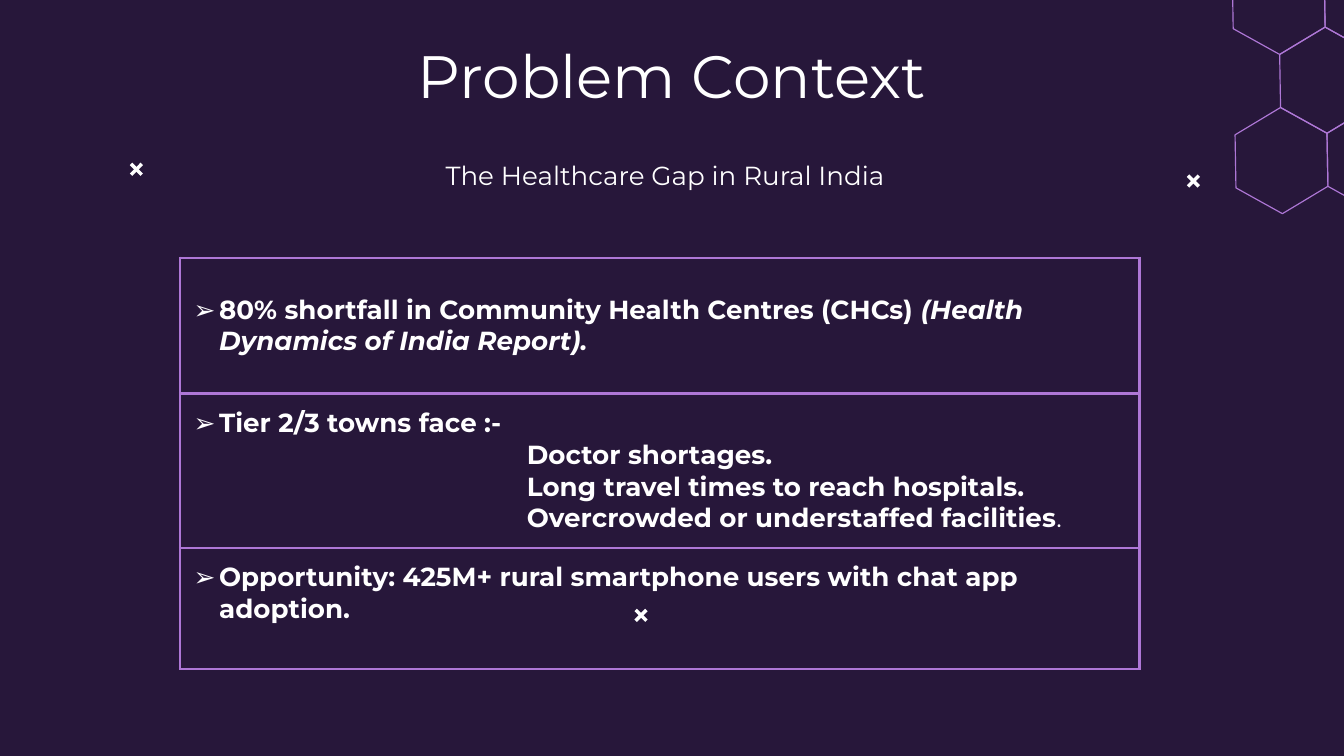
import math

from lxml import etree
from pptx import Presentation
from pptx import util as u
from pptx.dml.color import RGBColor
from pptx.enum import shapes, text
from pptx.oxml import ns

THEME = {
    "background": RGBColor.from_string("27173A"),
    "text": RGBColor.from_string("FFFFFF"),
    "accent": RGBColor.from_string("AE77D6"),
    "font": "Montserrat",
    "title": 32,
    "body": 14,
    "border": 1.5,
    "hexagon": 0.61,
    "cross": 1.84,
}
WIDTH = u.Inches(10)
HEIGHT = WIDTH * 9 // 16

HEADINGS = [
    ("Problem Context", "title", (7.88, 3.4, 84.25, 11.2)),
    ("The Healthcare Gap in Rural India", "body", (21.2, 19.3, 56.6, 5.3)),
]
TABLE_BOX = (13.4, 34.1, 71.4, 54.4)
ROWS = [
    (17.95, text.MSO_ANCHOR.MIDDLE, [
        ("bullet", [("80% shortfall in Community Health Centres (CHCs) ", "bold"),
                    ("(Health Dynamics of India Report).", "bold italic")]),
    ]),
    (20.45, text.MSO_ANCHOR.MIDDLE, [
        ("bullet", [("Tier 2/3 towns face :-", "bold")]),
        ("detail", [("Doctor shortages.", "bold")]),
        ("detail", [("Long travel times to reach hospitals.", "bold")]),
        ("detail", [("Overcrowded or understaffed facilities", "bold"), (".", "")]),
    ]),
    (16, text.MSO_ANCHOR.TOP, [
        ("bullet", [("Opportunity: 425M+ rural smartphone users with chat app adoption.", "bold")]),
    ]),
]
INDENTS = {"bullet": (0.19, -0.19), "detail": (2.48, 0)}
CROSSES = [(88.8, 23.95), (47.7, 81.4), (10.15, 22.4)]
CROSS_ARM = u.Inches(0.04)
HEXAGON_ORIGIN = (95.35, 21.25)
HEXAGON_RADIUS = u.Inches(0.79) / 2
HEXAGON_TILT = -1
HEXAGON_CELLS = [(0, 0), (1, 0), (0, 1), (-1, 2), (0, 2)]


def across(percent):
    return round(WIDTH * percent / 100)


def down(percent):
    return round(HEIGHT * percent / 100)


def place(box):
    left, top, width, height = box
    return across(left), down(top), across(width), down(height)


def polar(radius, degrees):
    angle = math.radians(degrees + HEXAGON_TILT)
    return radius * math.cos(angle), radius * math.sin(angle)


def set_margins(target):
    for side in ("left", "right", "top", "bottom"):
        setattr(target, f"margin_{side}", u.Inches(0.1))


def style_font(font, size, style=""):
    font.name = THEME["font"]
    font.size = u.Pt(THEME[size])
    font.color.rgb = THEME["text"]
    font.bold = "bold" in style
    font.italic = "italic" in style


def add_heading(slide, wording, size, box):
    frame = slide.shapes.add_textbox(*place(box)).text_frame
    frame.word_wrap = True
    set_margins(frame)
    frame.text = wording
    paragraph = frame.paragraphs[0]
    paragraph.alignment = text.PP_ALIGN.CENTER
    style_font(paragraph.runs[0].font, size)


def add_hexagon(slide, column, row):
    step = HEXAGON_RADIUS * math.sqrt(3)
    column_x, column_y = polar(step, 0)
    row_x, row_y = polar(step, -60)
    center_x = across(HEXAGON_ORIGIN[0]) + column * column_x + row * row_x
    center_y = down(HEXAGON_ORIGIN[1]) + column * column_y + row * row_y
    corners = []
    for degrees in range(30, 390, 60):
        x, y = polar(HEXAGON_RADIUS, degrees)
        corners.append((round(center_x + x), round(center_y + y)))
    builder = slide.shapes.build_freeform(*corners[0])
    builder.add_line_segments(corners[1:], close=True)
    shape = builder.convert_to_shape()
    shape.shadow.inherit = False
    shape.fill.background()
    shape.line.color.rgb = THEME["accent"]
    shape.line.width = u.Pt(THEME["hexagon"])


def add_cross(slide, left, top):
    x, y = across(left), down(top)
    for rise in (CROSS_ARM, -CROSS_ARM):
        connector = slide.shapes.add_connector(
            shapes.MSO_CONNECTOR.STRAIGHT, x - CROSS_ARM, y + rise, x + CROSS_ARM, y - rise)
        connector.line.color.rgb = THEME["text"]
        connector.line.width = u.Pt(THEME["cross"])
        etree.SubElement(connector._element.spPr, ns.qn("a:effectLst"))


def add_color(parent, color):
    fill = etree.SubElement(parent, ns.qn("a:solidFill"))
    etree.SubElement(fill, ns.qn("a:srgbClr"), val=str(color))


def set_borders(cell):
    properties = cell._tc.get_or_add_tcPr()
    for index, side in enumerate("LRTB"):
        line = etree.Element(ns.qn(f"a:ln{side}"), w=str(u.Pt(THEME["border"])))
        add_color(line, THEME["accent"])
        properties.insert(index, line)


def set_indent(paragraph, kind):
    margin, first = INDENTS[kind]
    properties = paragraph._p.get_or_add_pPr()
    properties.set("marL", str(u.Inches(margin)))
    properties.set("indent", str(u.Inches(first)))
    if kind == "bullet":
        color = etree.SubElement(properties, ns.qn("a:buClr"))
        etree.SubElement(color, ns.qn("a:srgbClr"), val=str(THEME["text"]))
        etree.SubElement(properties, ns.qn("a:buFont"), typeface=THEME["font"])
        etree.SubElement(properties, ns.qn("a:buChar"), char="➢")


def fill_cell(cell, anchor, paragraphs):
    cell.fill.background()
    set_borders(cell)
    set_margins(cell)
    cell.vertical_anchor = anchor
    frame = cell.text_frame
    frame.text = "\n".join("".join(wording for wording, _ in runs) for _, runs in paragraphs)
    for paragraph, (kind, runs) in zip(frame.paragraphs, paragraphs):
        set_indent(paragraph, kind)
        paragraph.runs[0].text = runs[0][0]
        for wording, _ in runs[1:]:
            paragraph.add_run().text = wording
        for run, (_, style) in zip(paragraph.runs, runs):
            style_font(run.font, "body", style)


def add_facts(slide):
    table = slide.shapes.add_table(len(ROWS), 1, *place(TABLE_BOX)).table
    table.first_row = False
    table.horz_banding = False
    for index, (height, anchor, paragraphs) in enumerate(ROWS):
        table.rows[index].height = down(height)
        fill_cell(table.cell(index, 0), anchor, paragraphs)


def main():
    presentation = Presentation()
    presentation.slide_width, presentation.slide_height = WIDTH, HEIGHT
    slide = presentation.slides.add_slide(presentation.slide_layouts[6])
    slide.background.fill.solid()
    slide.background.fill.fore_color.rgb = THEME["background"]
    for column, row in HEXAGON_CELLS:
        add_hexagon(slide, column, row)
    for heading in HEADINGS:
        add_heading(slide, *heading)
    for cross in CROSSES:
        add_cross(slide, *cross)
    add_facts(slide)
    presentation.save("out.pptx")


if __name__ == "__main__":
    main()
